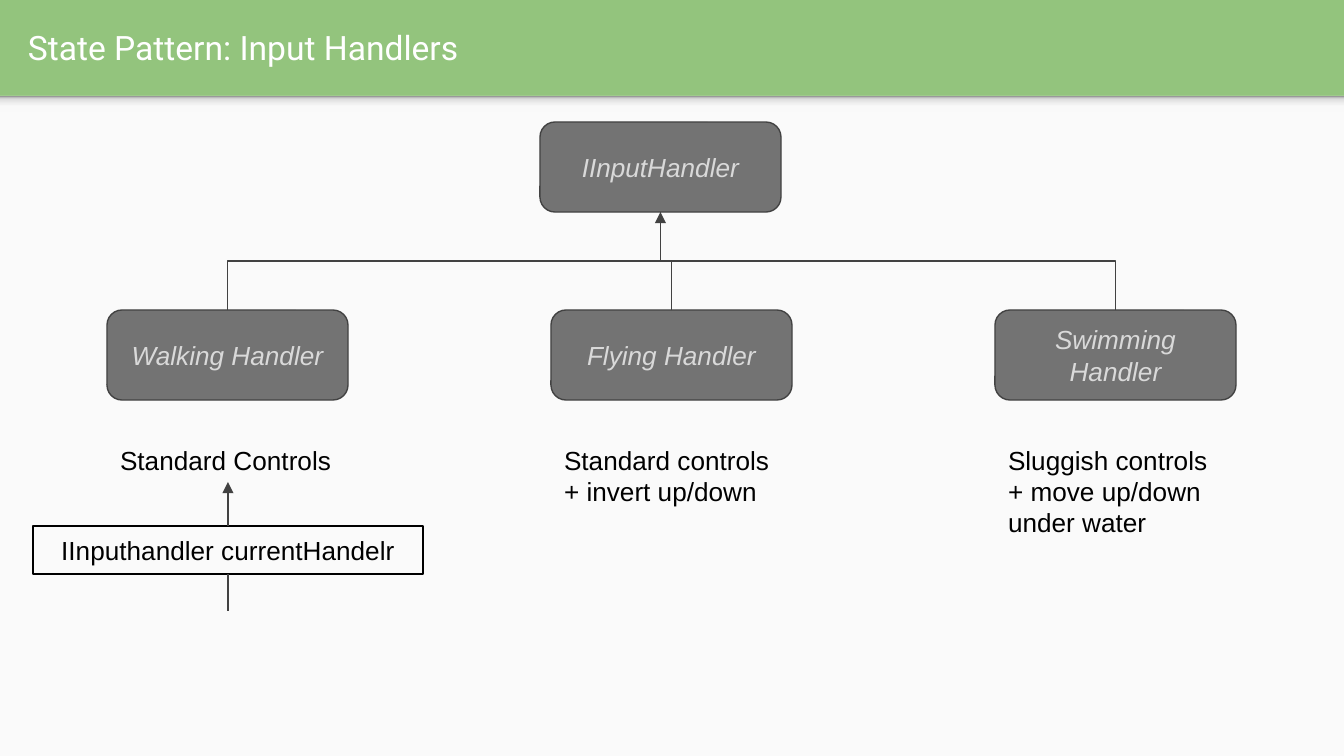
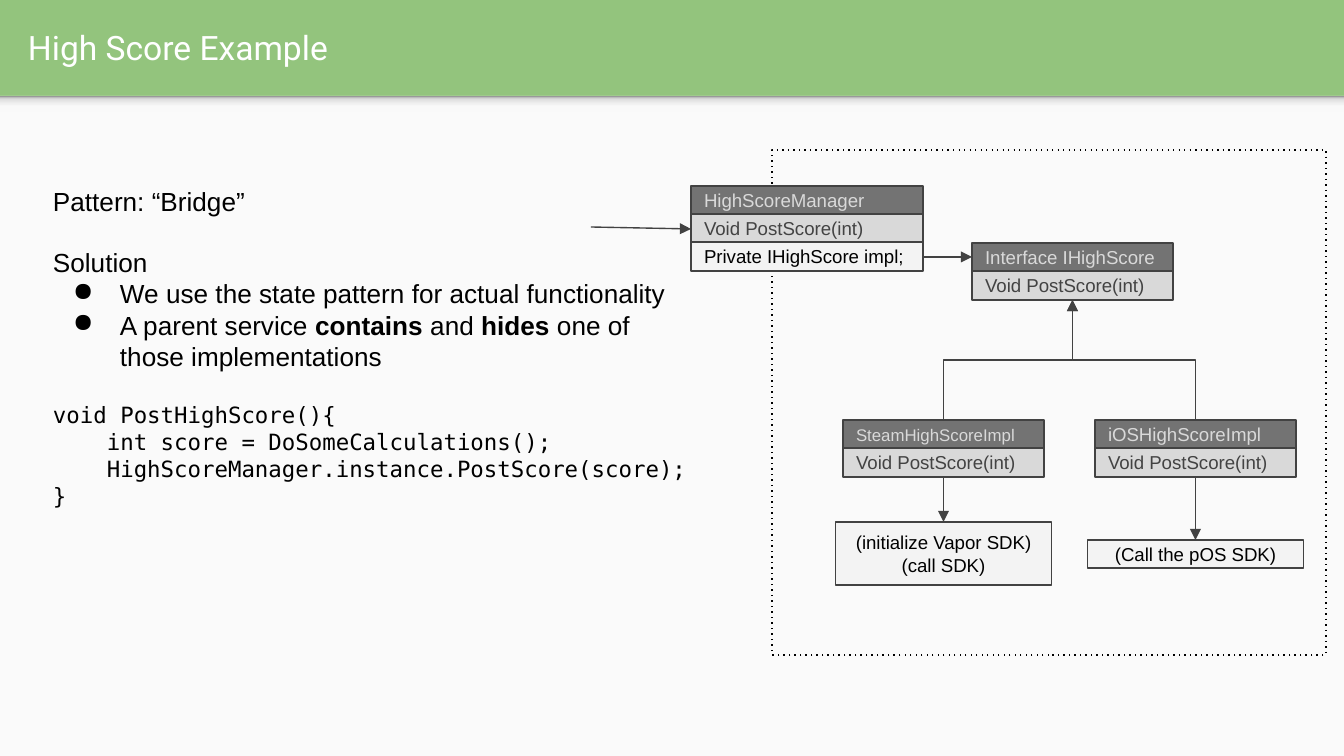
from lxml import etree
from pptx import Presentation
from pptx.dml.color import RGBColor
from pptx.enum.shapes import MSO_CONNECTOR, MSO_SHAPE
from pptx.enum.text import MSO_ANCHOR, PP_ALIGN
from pptx.oxml.ns import qn
from pptx.util import Pt

SCALE = 914400 / 134.4
WIDE, HIGH, BAND, INSET = 1344, 756, 96, 13
RECT, ROUND = MSO_SHAPE.RECTANGLE, MSO_SHAPE.ROUNDED_RECTANGLE
FLOW = MSO_SHAPE.FLOWCHART_PROCESS
LINE, ELBOW = MSO_CONNECTOR.STRAIGHT, MSO_CONNECTOR.ELBOW
LEFT, CENTER = PP_ALIGN.LEFT, PP_ALIGN.CENTER
TOP, MIDDLE = MSO_ANCHOR.TOP, MSO_ANCHOR.MIDDLE
GREEN, PAPER, WHITE, BLACK = "93C47D", "FAFAFA", "FFFFFF", "000000"
DARK, EDGE, INK = "737373", "424242", "434343"
SILVER, PALE = "D9D9D9", "F3F3F3"
SHADE = [(0, "F9F9F9"), (36, "F9F9F9"), (80, "DEDEDE"), (100, "999999")]
ROWS = [(DARK, SILVER), (SILVER, INK), (PALE, BLACK)]
ROW, STEP = 29, 28


def px(size):
    return round(size * SCALE)


def hue(code):
    return RGBColor.from_string(code)


def node(owner, tag, **attrs):
    return etree.SubElement(owner, qn(tag), attrs)


def write(shape, text, size=14, color=BLACK, font="Arial", align=LEFT,
          anchor=TOP, italic=False, bullet=False, before=0):
    frame = shape.text_frame
    frame.word_wrap = True
    frame.vertical_anchor = anchor
    frame.margin_left = frame.margin_right = px(INSET)
    frame.margin_top = frame.margin_bottom = px(INSET)
    for index, line in enumerate(text.split("\n")):
        para = frame.paragraphs[0]
        if para.runs:
            para = frame.add_paragraph()
        para.alignment = align
        if before and index == 0:
            para.space_before = Pt(before)
        if bullet:
            props = para._p.get_or_add_pPr()
            props.set("marL", str(px(67)))
            props.set("indent", str(px(-47)))
            node(node(props, "a:buClr"), "a:srgbClr", val=BLACK)
            node(props, "a:buChar", char="●")
        for part, words in enumerate(line.split("**")):
            run = para.add_run()
            run.text = words
            run.font.size = Pt(size)
            run.font.name = font
            run.font.bold = part % 2 == 1
            run.font.italic = italic
            run.font.color.rgb = hue(color)


def box(slide, kind, x, y, w, h, fill=None, edge=None, width=0.75):
    shape = slide.shapes.add_shape(kind, px(x), px(y), px(w), px(h))
    shape.shadow.inherit = False
    if fill:
        shape.fill.solid()
        shape.fill.fore_color.rgb = hue(fill)
    else:
        shape.fill.background()
    if edge:
        shape.line.color.rgb = hue(edge)
        shape.line.width = Pt(width)
    else:
        shape.line.fill.background()
    return shape


def note(slide, x, y, w, h, text, **style):
    shape = slide.shapes.add_textbox(px(x), px(y), px(w), px(h))
    write(shape, text, **style)
    return shape


def wire(slide, start, end, kind=LINE, head=True):
    (x1, y1), (x2, y2) = start, end
    if kind == ELBOW:
        midx, midy = (x1 + x2) / 2, (y1 + y2) / 2
        rise, run = abs(y1 - y2) / 2, abs(x1 - x2) / 2
        side = 1 if x1 > x2 else -1
        turn = 90 if x1 > x2 else 270
        x1, x2 = midx + side * rise, midx - side * rise
        y1, y2 = midy - run, midy + run
    line = slide.shapes.add_connector(kind, px(x1), px(y1), px(x2), px(y2))
    line.line.color.rgb = hue(EDGE)
    line.line.width = Pt(0.75)
    props = line._element.spPr
    if kind == ELBOW:
        props.xfrm.set("rot", str(turn * 60000))
    if head:
        node(line.line._get_or_add_ln(), "a:tailEnd", type="triangle")
    node(props, "a:effectLst")


def page(deck, title):
    slide = deck.slides.add_slide(deck.slide_layouts[6])
    slide.background.fill.solid()
    slide.background.fill.fore_color.rgb = hue(GREEN)
    box(slide, RECT, 0, BAND, WIDE, HIGH - BAND, PAPER)
    shade = box(slide, RECT, 0, BAND, WIDE, 16)
    shade.fill.gradient()
    shade.fill.gradient_angle = 90
    stops = shade._element.spPr.find(".//" + qn("a:gsLst"))
    for stop in list(stops):
        stops.remove(stop)
    for place, code in SHADE:
        stop = node(stops, "a:gs", pos=str(place * 1000))
        node(stop, "a:srgbClr", val=code)
    note(slide, 15, 3, 1297, 89, title, size=18, color=WHITE,
         font="Roboto", anchor=MIDDLE)
    return slide


def handler(slide, x, y, w, h, name):
    shape = box(slide, ROUND, x, y, w, h, DARK, EDGE)
    write(shape, name, color=SILVER, align=CENTER, anchor=MIDDLE, italic=True)


def family(slide, x, y):
    w, h, gap = 241, 90, 444
    root = x + 433
    low = y + 188
    handler(slide, root, y, w, h, "IInputHandler")
    kids = [("Walking Handler", "Standard Controls"),
            ("Flying Handler", "Standard controls + invert up/down"),
            ("Swimming Handler", "Sluggish controls + move up/down under water")]
    for index, (name, text) in enumerate(kids):
        left = x + index * gap
        handler(slide, left, low, w, h, name)
        note(slide, left, low + 121, w, h, text)
        wire(slide, (left + w / 2, low), (root + w / 2, y + h), ELBOW,
             head=index == 2)


def state(slide, x, y, w, h):
    shape = box(slide, RECT, x, y, w, h, edge=BLACK, width=1.5)
    write(shape, "IInputhandler currentHandelr", align=CENTER, anchor=MIDDLE)
    mid = x + w / 2
    wire(slide, (mid, y), (mid, y - 44))
    wire(slide, (mid, y + h + 37), (mid, y + h), head=False)


def body(slide, x, y, w, h):
    shape = note(slide, x, y, w, h, "Pattern: “Bridge”")
    write(shape, "Solution", before=16)
    write(shape, "We use the state pattern for actual functionality\n"
          "A parent service **contains** and **hides** one of those "
          "implementations", bullet=True)
    write(shape, "void PostHighScore(){\n"
          "    int score = DoSomeCalculations();\n"
          "    HighScoreManager.instance.PostScore(score);\n"
          "}", size=12, font="DejaVu Sans Mono", before=16)


def card(slide, x, y, w, names, size=10):
    for index, (name, (fill, ink)) in enumerate(zip(names, ROWS)):
        shape = box(slide, FLOW, x, y + index * STEP, w, ROW, fill, EDGE)
        write(shape, name, size=10 if index else size, color=ink,
              anchor=MIDDLE)


def bridge(slide, x, y, w, h):
    frame = box(slide, RECT, x, y, w, h, edge=BLACK)
    node(frame.line._get_or_add_ln(), "a:prstDash", val="dot")
    post = "Void PostScore(int)"
    left, top, wide = x - 81, y + 36, 232
    card(slide, left, top, wide,
         ["HighScoreManager", post, "Private IHighScore impl;"])
    face, slim = x + 200, 201
    card(slide, face, y + 93, slim, ["Interface IHighScore", post])
    wire(slide, (left - 100, top + 41), (left, top + 43))
    wire(slide, (left + wide, y + 107), (face, y + 107))
    low = y + 270
    foot = low + STEP + ROW
    kids = [(71, "SteamHighScoreImpl", 9, 372, 63,
             "(initialize Vapor SDK)\n(call SDK)"),
            (323, "iOSHighScoreImpl", 10, 390, 28, "(Call the pOS SDK)")]
    for shift, name, size, drop, tall, call in kids:
        mid = x + shift + slim / 2
        card(slide, x + shift, low, slim, [name, post], size)
        shape = box(slide, FLOW, mid - 108, y + drop, 216, tall, PALE, EDGE)
        write(shape, call, size=10, align=CENTER, anchor=MIDDLE)
        wire(slide, (mid, foot), (mid, y + drop))
        wire(slide, (mid, low), (face + slim / 2, y + 150), ELBOW)


def main():
    deck = Presentation()
    deck.slide_width, deck.slide_height = px(WIDE), px(HIGH)
    slide = page(deck, "State Pattern: Input Handlers")
    family(slide, 107, 122)
    state(slide, 33, 526, 390, 48)
    slide = page(deck, "High Score Example")
    body(slide, 40, 172, 672, 466)
    bridge(slide, 772, 150, 554, 505)
    deck.save("out.pptx")


if __name__ == "__main__":
    main()
